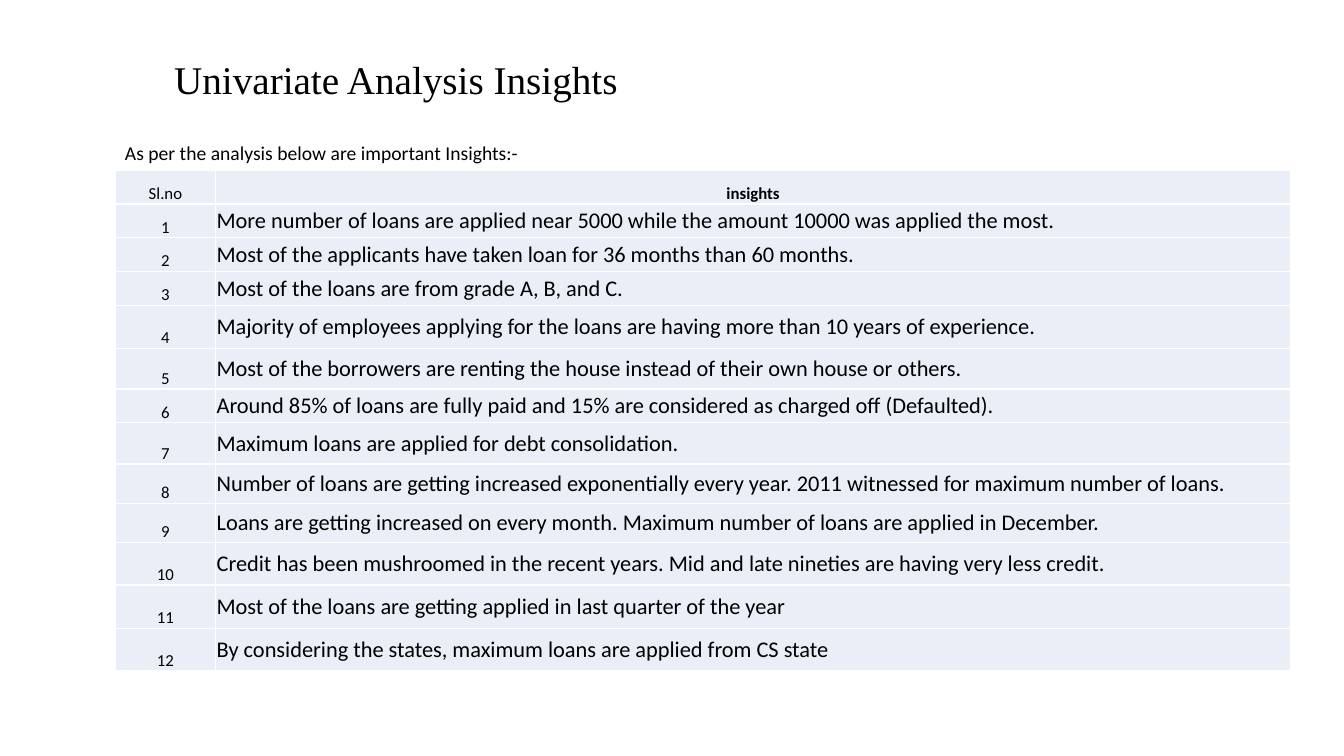
from lxml import etree
from pptx import Presentation, util as u
from pptx.dml.color import RGBColor
from pptx.enum import text
from pptx.oxml import ns

TITLE = "Univariate Analysis Insights"
INTRO = "As per the analysis below are important Insights:-"
HEADER = ("Sl.no", "insights")
INSIGHTS = [
    ("More number of loans are applied near 5000 while the amount 10000 was applied the most.", 0.85),
    ("Most of the applicants have taken loan for 36 months than 60 months.", 0.85),
    ("Most of the loans are from grade A, B, and C.", 0.85),
    ("Majority of employees applying for the loans are having more than 10 years of experience.", 1.09),
    ("Most of the borrowers are renting the house instead of their own house or others.", 1.02),
    ("Around 85% of loans are fully paid and 15% are considered as charged off (Defaulted).", 0.85),
    ("Maximum loans are applied for debt consolidation.", 1.04),
    ("Number of loans are getting increased exponentially every year. "
     "2011 witnessed for maximum number of loans.", 0.99),
    ("Loans are getting increased on every month. "
     "Maximum number of loans are applied in December.", 0.99),
    ("Credit has been mushroomed in the recent years. "
     "Mid and late nineties are having very less credit.", 1.07),
    ("Most of the loans are getting applied in last quarter of the year", 1.09),
    ("By considering the states, maximum loans are applied from CS state", 1.07),
]
HEADER_HEIGHT = 0.85
COLUMNS = (2.54, 27.08)
LEFT, TABLE_TOP = 2.9, 4.29
BLACK, WHITE, PALE_BLUE = "000000", "FFFFFF", "EAEFF7"


def color(value):
    return RGBColor.from_string(value)


def write(p, words, size, font="Calibri", bold=False):
    p.text = words
    p.font.size = u.Pt(size)
    p.font.name = font
    p.font.bold = bold
    p.font.color.rgb = color(BLACK)


def add_text(s, box, words, size, font, anchor):
    sp = s.shapes.add_textbox(*map(u.Cm, box))
    tf = sp.text_frame
    tf.word_wrap = True
    tf.vertical_anchor = anchor
    write(tf.paragraphs[0], words, size, font)
    return tf


def add_borders(cell):
    tc_pr = cell._tc.get_or_add_tcPr()
    for i, side in enumerate(("lnL", "lnR", "lnT", "lnB")):
        ln = etree.Element(ns.qn("a:" + side), w=str(u.Pt(1)))
        fill = etree.SubElement(ln, ns.qn("a:solidFill"))
        etree.SubElement(fill, ns.qn("a:srgbClr"), val=WHITE)
        tc_pr.insert(i, ln)


def fill_cell(cell, words, size, bold, centered):
    cell.fill.solid()
    cell.fill.fore_color.rgb = color(PALE_BLUE)
    cell.margin_left = cell.margin_right = cell.margin_top = u.Cm(0.02)
    cell.margin_bottom = 0
    cell.vertical_anchor = text.MSO_ANCHOR.BOTTOM if centered else text.MSO_ANCHOR.MIDDLE
    p = cell.text_frame.paragraphs[0]
    write(p, words, size, bold=bold)
    p.alignment = text.PP_ALIGN.CENTER if centered else text.PP_ALIGN.LEFT
    add_borders(cell)


def add_insights(s):
    rows = [HEADER] + [(str(n), words) for n, (words, _) in enumerate(INSIGHTS, 1)]
    heights = [HEADER_HEIGHT] + [height for _, height in INSIGHTS]
    box = (LEFT, TABLE_TOP, sum(COLUMNS), sum(heights))
    table = s.shapes.add_table(len(rows), len(COLUMNS), *map(u.Cm, box)).table
    for column, width in zip(table.columns, COLUMNS):
        column.width = u.Cm(width)
    for i, (row, height) in enumerate(zip(rows, heights)):
        table.rows[i].height = u.Cm(height)
        for j, words in enumerate(row):
            centered = i == 0 or j == 0
            fill_cell(table.cell(i, j), words, 12 if centered else 16, i == 0 and j == 1, centered)


def main():
    prs = Presentation()
    prs.slide_width, prs.slide_height = u.Cm(33.87), u.Cm(19.05)
    s = prs.slides.add_slide(prs.slide_layouts[6])
    title = add_text(s, (4.14, 1.27, 25.88, 1.6), TITLE, 28, "Times New Roman", text.MSO_ANCHOR.MIDDLE)
    title.paragraphs[0].line_spacing = 0.9
    intro = add_text(s, (LEFT, 3.43, 26.95, 0.86), INTRO, 14, "Calibri", text.MSO_ANCHOR.TOP)
    intro.auto_size = text.MSO_AUTO_SIZE.SHAPE_TO_FIT_TEXT
    add_insights(s)
    prs.save("out.pptx")


if __name__ == "__main__":
    main()
